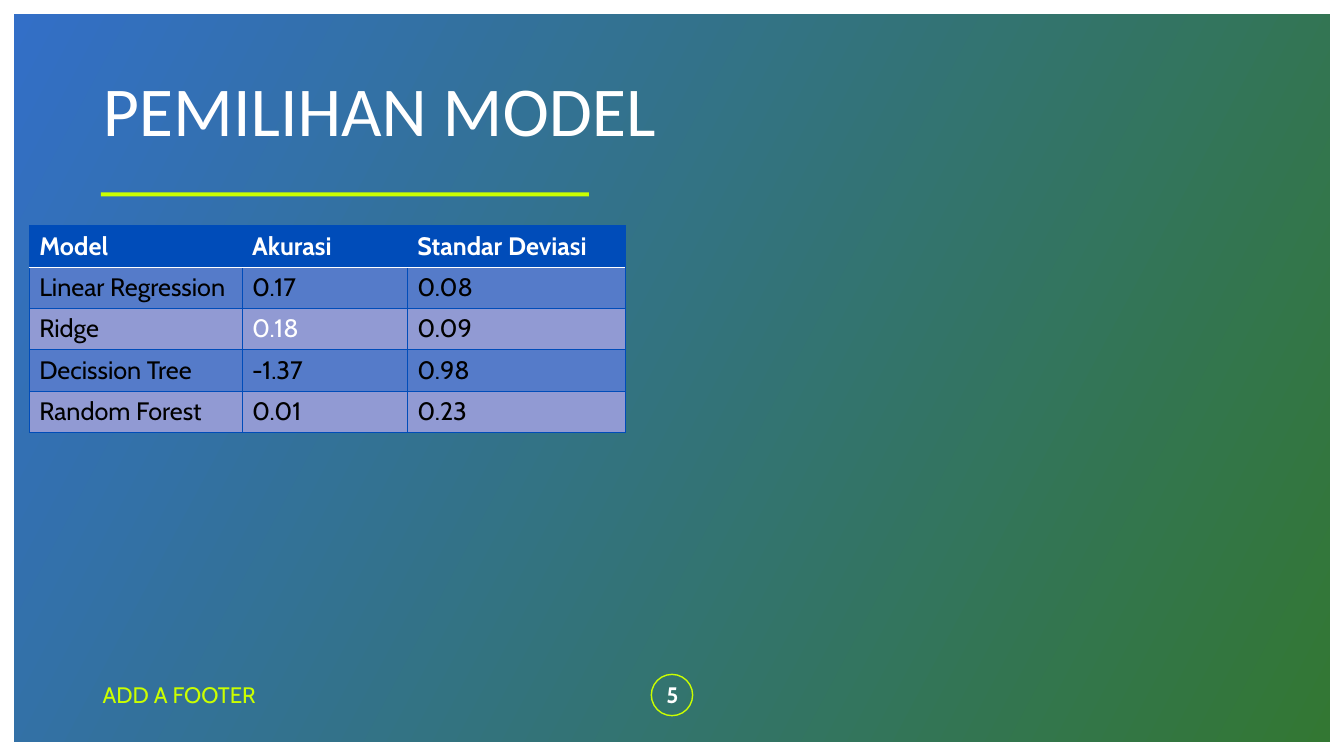
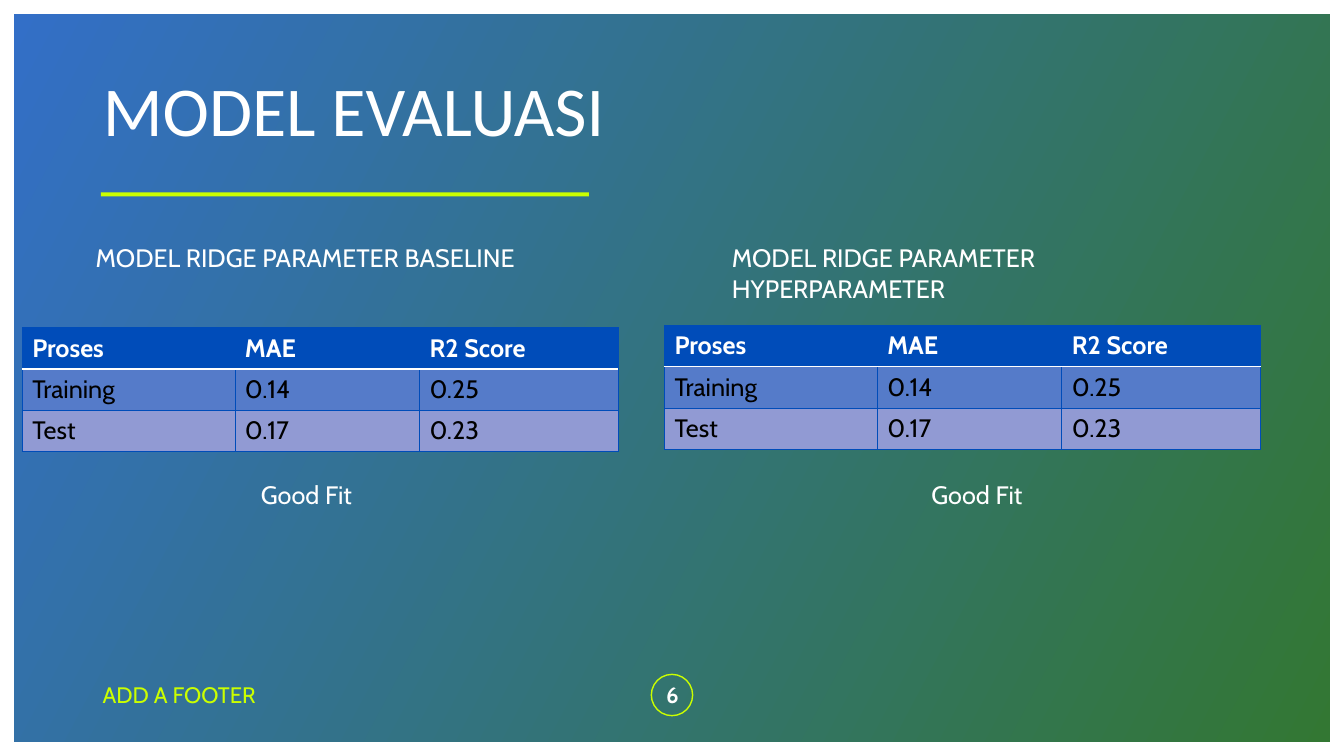
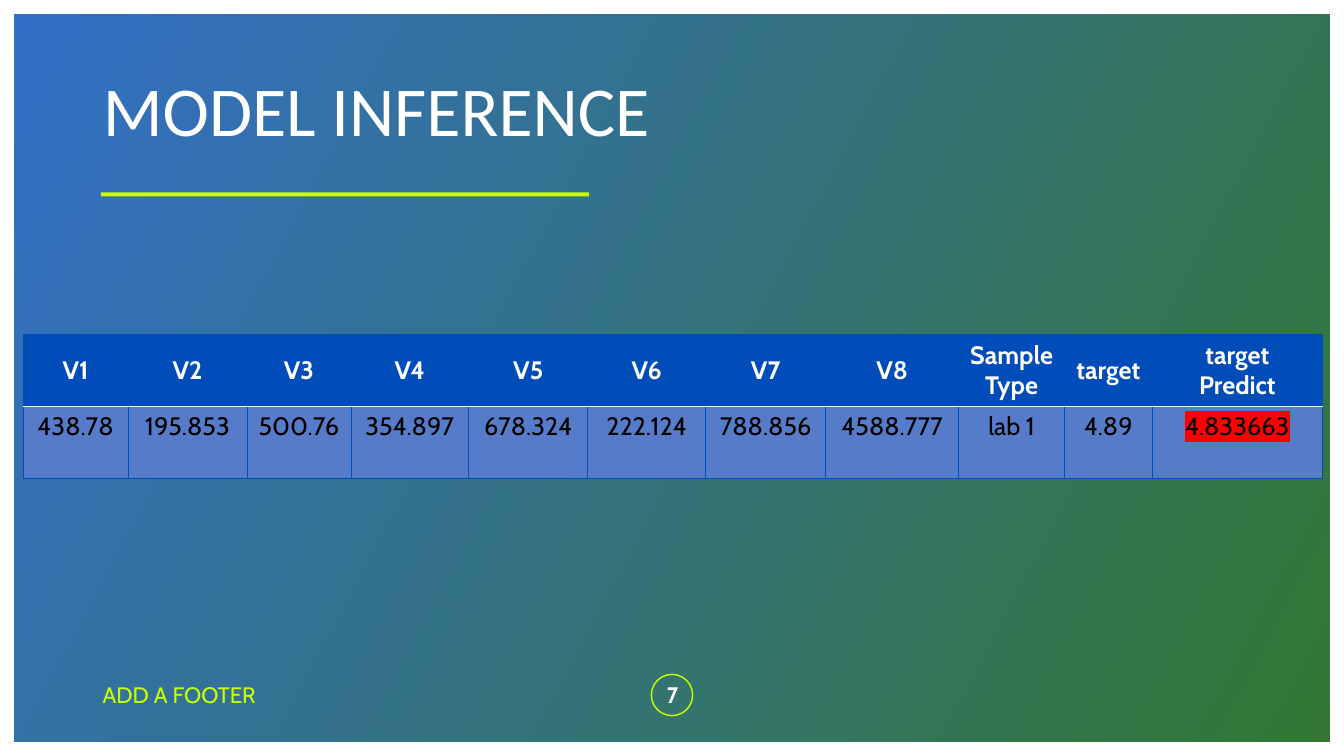
from pptx import Presentation
from pptx.dml.color import RGBColor
from pptx.enum.shapes import MSO_SHAPE
from pptx.enum.text import MSO_ANCHOR, MSO_AUTO_SIZE, PP_ALIGN
from pptx.oxml import parse_xml
from pptx.oxml.ns import nsdecls
from pptx.util import Inches, Pt

WIDE, HIGH = 13.33, 7.5
EDGE = 0.14
BLUE, GREEN, LIME = "336FC7", "337733", "CBFF00"
HEAD, DARK, PALE = "004CB9", "557BC9", "919AD3"
WHITE, BLACK, RED = "FFFFFF", "000000", "FF0000"
BODY, TITLE = "Cabin", "Calibri"
FOOT = "ADD A FOOTER"
FIRST = 5

SCORES = [("Proses", "MAE", "R2 Score"),
          ("Training", "0.14", "0.25"),
          ("Test", "0.17", "0.23")]
SPANS = (2.11, 1.83, 1.97)

SLIDES = [
    {"title": "PEMILIHAN MODEL",
     "tables": [{
         "at": (0.29, 2.24), "cols": (2.11, 1.64, 2.16), "white": "0.18",
         "rows": [("Model", "Akurasi", "Standar Deviasi"),
                  ("Linear Regression", "0.17", "0.08"),
                  ("Ridge", "0.18", "0.09"),
                  ("Decission Tree", "-1.37", "0.98"),
                  ("Random Forest", "0.01", "0.23")]}]},
    {"title": "MODEL EVALUASI",
     "tables": [{"at": (0.22, 3.25), "cols": SPANS, "rows": SCORES},
                {"at": (6.59, 3.23), "cols": SPANS, "rows": SCORES}],
     "notes": [("MODEL RIDGE PARAMETER BASELINE", 0.85, 2.35, 4.64),
               ("MODEL RIDGE PARAMETER HYPERPARAMETER", 7.16, 2.36, 5.33),
               ("Good Fit", 2.49, 4.71, 1.37),
               ("Good Fit", 9.14, 4.71, 1.37)]},
    {"title": "MODEL INFERENCE",
     "tables": [{
         "at": (0.23, 3.32), "tall": 0.71, "center": True, "glow": "4.833663",
         "cols": (1.04, 1.18, 1.03, 1.17, 1.18, 1.17, 1.19, 1.32, 1.05, 0.87, 1.69),
         "rows": [("V1", "V2", "V3", "V4", "V5", "V6", "V7", "V8",
                   "Sample\nType", "target", "target\nPredict"),
                  ("438.78", "195.853", "500.76", "354.897", "678.324", "222.124",
                   "788.856", "4588.777", "lab 1", "4.89", "4.833663")]}]},
]


def rgb(code):
    return RGBColor.from_string(code)


def box(*sizes):
    return [Inches(size) for size in sizes]


def style(para, size, color, bold=False, align=PP_ALIGN.LEFT, face=BODY):
    para.alignment = align
    font = para.font
    font.name, font.size, font.bold = face, Pt(size), bold
    font.color.rgb = rgb(color)


def add_shape(slide, kind, *place):
    shape = slide.shapes.add_shape(kind, *box(*place))
    shape.shadow.inherit = False
    shape.line.fill.background()
    return shape


def add_text(slide, text, place, size=18, color=WHITE, anchor=MSO_ANCHOR.TOP, **look):
    frame = slide.shapes.add_textbox(*box(*place)).text_frame
    frame.word_wrap = True
    frame.vertical_anchor = anchor
    frame.text = text
    style(frame.paragraphs[0], size, color, **look)


def add_frame(slide, title, page):
    """Draw what every slide shares: backdrop, rule, title, footer, page number."""
    back = add_shape(slide, MSO_SHAPE.RECTANGLE, EDGE, EDGE,
                     WIDE - 2 * EDGE, HIGH - 2 * EDGE)
    back.fill.gradient()
    back.fill.gradient_angle = 332
    for stop, color in zip(back.fill.gradient_stops, (BLUE, GREEN)):
        stop.color.rgb = rgb(color)

    ring = add_shape(slide, MSO_SHAPE.OVAL, 6.46, 6.69, 0.41, 0.41)
    ring.fill.background()
    ring.line.color.rgb = rgb(LIME)
    ring.line.width = Pt(1)

    rule = add_shape(slide, MSO_SHAPE.RECTANGLE, 1, 1.91, 4.84, 0.04)
    rule.fill.solid()
    rule.fill.fore_color.rgb = rgb(LIME)

    add_text(slide, str(page), (6.37, 6.69, 0.6, 0.4), 16, anchor=MSO_ANCHOR.MIDDLE,
             bold=True, align=PP_ALIGN.CENTER)
    add_text(slide, FOOT, (0.92, 6.69, 3.72, 0.4), 16, LIME, MSO_ANCHOR.MIDDLE)

    head = slide.shapes.title
    head.left, head.top, head.width, head.height = box(0.92, 0.4, 11.5, 1.45)
    frame = head.text_frame
    frame.text = title
    frame.auto_size = MSO_AUTO_SIZE.NONE
    frame.vertical_anchor = MSO_ANCHOR.MIDDLE
    frame.paragraphs[0].line_spacing = 0.9
    style(frame.paragraphs[0], 50, WHITE, face=TITLE)
    # The title sits above the backdrop.
    slide.shapes._spTree.append(head._element)


def add_border(cell, side, color, width):
    cell._tc.get_or_add_tcPr().append(parse_xml(
        f'<a:ln{side} {nsdecls("a")} w="{Pt(width)}"><a:solidFill>'
        f'<a:srgbClr val="{color}"/></a:solidFill></a:ln{side}>'))


def add_glow(run):
    run._r.get_or_add_rPr().append(parse_xml(
        f'<a:highlight {nsdecls("a")}><a:srgbClr val="{RED}"/></a:highlight>'))


def add_table(slide, at, cols, rows, tall=0.41, center=False, white=None, glow=None):
    """Draw a banded table; white and glow name the values that stand out."""
    table = slide.shapes.add_table(
        len(rows), len(cols), *box(*at, sum(cols), tall * len(rows))).table
    for col, width in zip(table.columns, cols):
        col.width = Inches(width)
    for r, row in enumerate(rows):
        top = r == 0
        table.rows[r].height = Inches(tall)
        fill = HEAD if top else DARK if r % 2 else PALE
        for c, text in enumerate(row):
            cell = table.cell(r, c)
            for side in "LRTB":
                under = (r, side) in ((0, "B"), (1, "T"))
                add_border(cell, side, *((WHITE, 1) if under else (HEAD, 0.5)))
            cell.fill.solid()
            cell.fill.fore_color.rgb = rgb(fill)
            if top and center:
                cell.vertical_anchor = MSO_ANCHOR.MIDDLE
            cell.text = text
            for para in cell.text_frame.paragraphs:
                style(para, 18, WHITE if top or text == white else BLACK, top,
                      PP_ALIGN.CENTER if center else PP_ALIGN.LEFT)
                if text == glow:
                    add_glow(para.runs[0])


def main():
    deck = Presentation()
    deck.slide_width, deck.slide_height = box(WIDE, HIGH)
    for page, data in enumerate(SLIDES, FIRST):
        slide = deck.slides.add_slide(deck.slide_layouts[5])
        add_frame(slide, data["title"], page)
        for table in data["tables"]:
            add_table(slide, **table)
        for text, left, top, width in data.get("notes", []):
            add_text(slide, text, (left, top, width, 0.4))
    deck.save("out.pptx")


if __name__ == "__main__":
    main()
